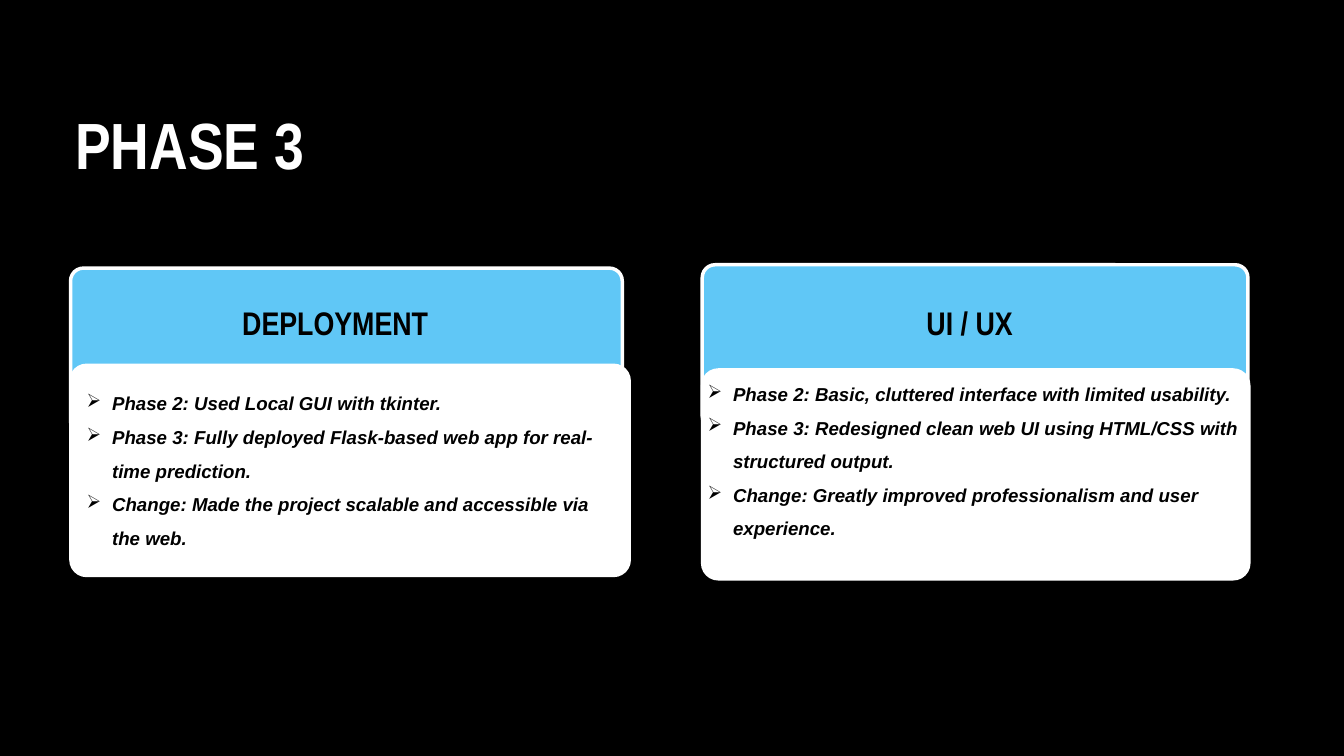
from typing import NamedTuple

from lxml.etree import SubElement
from pptx import Presentation
from pptx.dml.color import RGBColor
from pptx.enum.shapes import MSO_SHAPE as Shape
from pptx.enum.text import MSO_ANCHOR as Anchor, PP_ALIGN as Align
from pptx.oxml.ns import qn
from pptx.util import Inches, Pt

# Grid of one-inch cells
COLUMNS, ROWS = 20, 11.25
CELL = Inches(1)

COLORS = {"background": "000000", "header": "60C7F6", "panel": "FFFFFF",
          "title": "FFFFFF", "text": "000000"}
HEADING_FONT, BODY_FONT = "Arial Narrow", "Arial"


class Box(NamedTuple):
    """Left column, top row, and size in columns and rows."""
    left: float
    top: float
    width: float
    height: float

    def lengths(self):
        return [int(value * CELL) for value in self]


def color(name):
    return RGBColor.from_string(COLORS[name])


def add_panel(slide, box, fill, radius, outlined=False):
    shape = slide.shapes.add_shape(Shape.ROUNDED_RECTANGLE, *box.lengths())
    shape.adjustments[0] = radius / min(box.width, box.height)
    shape.shadow.inherit = False
    shape.fill.solid()
    shape.fill.fore_color.rgb = color(fill)
    if outlined:
        shape.line.color.rgb = color("panel")
        shape.line.width = Pt(3.75)
    else:
        shape.line.fill.background()


def add_heading(slide, box, text, size, spacing, ink, align):
    frame = slide.shapes.add_textbox(*box.lengths()).text_frame
    frame.word_wrap = True
    frame.margin_left = frame.margin_right = 0
    frame.margin_top = frame.margin_bottom = 0
    paragraph = frame.paragraphs[0]
    paragraph.text = text
    paragraph.alignment = align
    paragraph.line_spacing = Pt(spacing)
    font = paragraph.font
    font.name, font.size, font.bold = HEADING_FONT, Pt(size), True
    font.color.rgb = color(ink)


def add_bullets(slide, box, items, anchor):
    frame = slide.shapes.add_textbox(*box.lengths()).text_frame
    frame.word_wrap = True
    frame.vertical_anchor = anchor
    for index, item in enumerate(items):
        paragraph = frame.paragraphs[0] if index == 0 else frame.add_paragraph()
        paragraph.text = item
        paragraph.line_spacing = 1.5
        font = paragraph.font
        font.name, font.size = BODY_FONT, Pt(20)
        font.bold = font.italic = True
        font.color.rgb = color("text")
        # Hanging arrow bullet, placed before the default run properties
        properties = paragraph._p.get_or_add_pPr()
        indent = Inches(0.38)
        properties.set("marL", str(indent))
        properties.set("indent", str(-indent))
        bullet = SubElement(properties, qn("a:buChar"), char="➢")
        properties.find(qn("a:defRPr")).addprevious(bullet)


def add_card(slide, header, label, body, text, heading, items, anchor):
    """Blue header with a white panel overlapping its lower part."""
    add_panel(slide, header, "header", 0.19, outlined=True)
    add_heading(slide, label, heading, 35, 42, "text", Align.CENTER)
    add_panel(slide, body, "panel", 0.26)
    add_bullets(slide, text, items, anchor)


def main():
    presentation = Presentation()
    presentation.slide_width = int(COLUMNS * CELL)
    presentation.slide_height = int(ROWS * CELL)
    slide = presentation.slides.add_slide(presentation.slide_layouts[6])
    slide.background.fill.solid()
    slide.background.fill.fore_color.rgb = color("background")

    # Title
    add_heading(slide, Box(1.12, 1.75, 5.79, 1.01), "PHASE 3", 70, 70,
                "title", Align.LEFT)

    # Left card
    add_card(slide, Box(1.05, 3.99, 8.21, 2.47), Box(2.6, 4.51, 4.78, 0.56),
             Box(1.03, 5.41, 8.36, 3.18), Box(1.19, 5.64, 7.9, 2.56),
             "DEPLOYMENT",
             ["Phase 2: Used Local GUI with tkinter.",
              "Phase 3: Fully deployed Flask-based web app for real-time prediction.",
              "Change: Made the project scalable and accessible via the web."],
             Anchor.MIDDLE)

    # Right card, its text filling the whole panel
    panel = Box(10.43, 5.48, 8.18, 3.16)
    add_card(slide, Box(10.45, 3.94, 8.12, 2.44), Box(11.47, 4.5, 5.92, 0.56),
             panel, panel, "UI / UX",
             ["Phase 2: Basic, cluttered interface with limited usability.",
              "Phase 3: Redesigned clean web UI using HTML/CSS with structured output.",
              "Change: Greatly improved professionalism and user experience."],
             Anchor.TOP)

    presentation.save("out.pptx")


if __name__ == "__main__":
    main()
